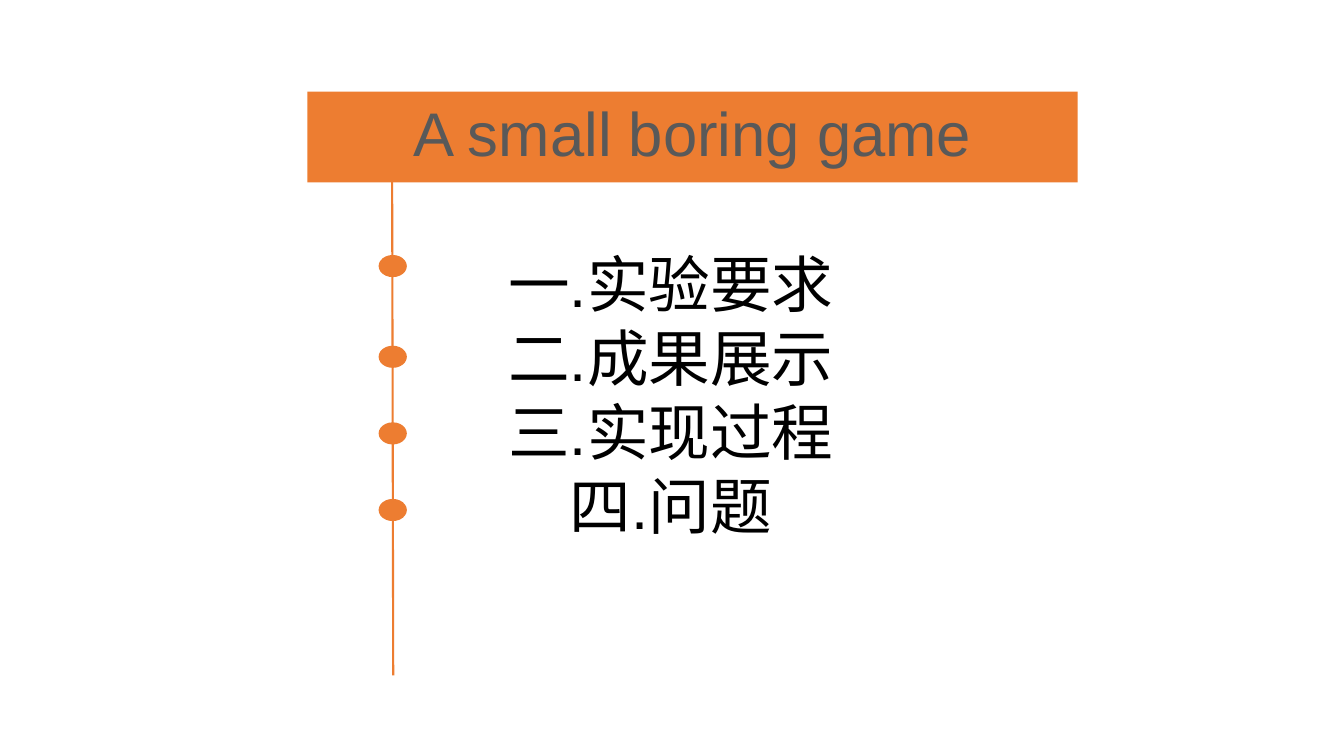
from lxml.etree import SubElement
from pptx import Presentation
from pptx.dml.color import RGBColor
from pptx.enum.shapes import MSO_CONNECTOR as Connector, MSO_SHAPE as Shape
from pptx.enum.text import MSO_ANCHOR as Anchor, MSO_AUTO_SIZE as AutoSize, PP_ALIGN as Align
from pptx.oxml.ns import qn
from pptx.util import Inches, Pt

ORANGE = RGBColor(0xED, 0x7D, 0x31)
GREY = RGBColor(0x59, 0x59, 0x59)
BLACK = RGBColor(0, 0, 0)

WIDTH, HEIGHT = Inches(13.33), Inches(7.5)
TITLE = "A small boring game"
TOPICS = ["一.实验要求", "二.成果展示", "三.实现过程", "四.问题"]
DOT_TOPS = [33.73, 45.73, 55.87, 66]


def place(left, top, *size):
    """Turn percentages of the slide's width and height into lengths."""
    shares = (left, top, *size)
    return [int(share * (HEIGHT if index % 2 else WIDTH) / 100)
            for index, share in enumerate(shares)]


def write(shape, lines, *, size=44, color=BLACK, anchor=Anchor.TOP, spacing=None):
    frame = shape.text_frame
    frame.word_wrap = True
    frame.vertical_anchor = anchor
    for index, line in enumerate(lines):
        para = frame.add_paragraph() if index else frame.paragraphs[0]
        para.alignment = Align.CENTER
        para.line_spacing = spacing
        span = para.add_run()
        span.text = line
        span.font.name = "Arial"
        span.font.size = Pt(size)
        span.font.color.rgb = color


def add_filled(page, kind, *area):
    shape = page.shapes.add_shape(kind, *place(*area))
    shape.shadow.inherit = False
    shape.fill.solid()
    shape.fill.fore_color.rgb = ORANGE
    shape.line.fill.background()
    return shape


def add_timeline(page, start, end):
    line = page.shapes.add_connector(Connector.STRAIGHT, *place(*start), *place(*end))
    line.line.color.rgb = ORANGE
    line.line.width = Pt(1.5)
    SubElement(line._element.spPr, qn("a:effectLst"))


def main():
    deck = Presentation()
    deck.slide_width, deck.slide_height = WIDTH, HEIGHT
    page = deck.slides.add_slide(deck.slide_layouts[6])

    banner = add_filled(page, Shape.RECTANGLE, 22.88, 12.13, 57.31, 12)
    write(banner, [TITLE], color=GREY, anchor=Anchor.MIDDLE, spacing=0.9)

    agenda = page.shapes.add_textbox(*place(31.21, 31.87, 37.43, 40.8))
    write(agenda, TOPICS)
    agenda.text_frame.auto_size = AutoSize.SHAPE_TO_FIT_TEXT

    add_timeline(page, (29.18, 24), (29.26, 89.33))
    for top in DOT_TOPS:
        add_filled(page, Shape.OVAL, 28.17, top, 2.1, 2.93)

    deck.save("out.pptx")


if __name__ == "__main__":
    main()
